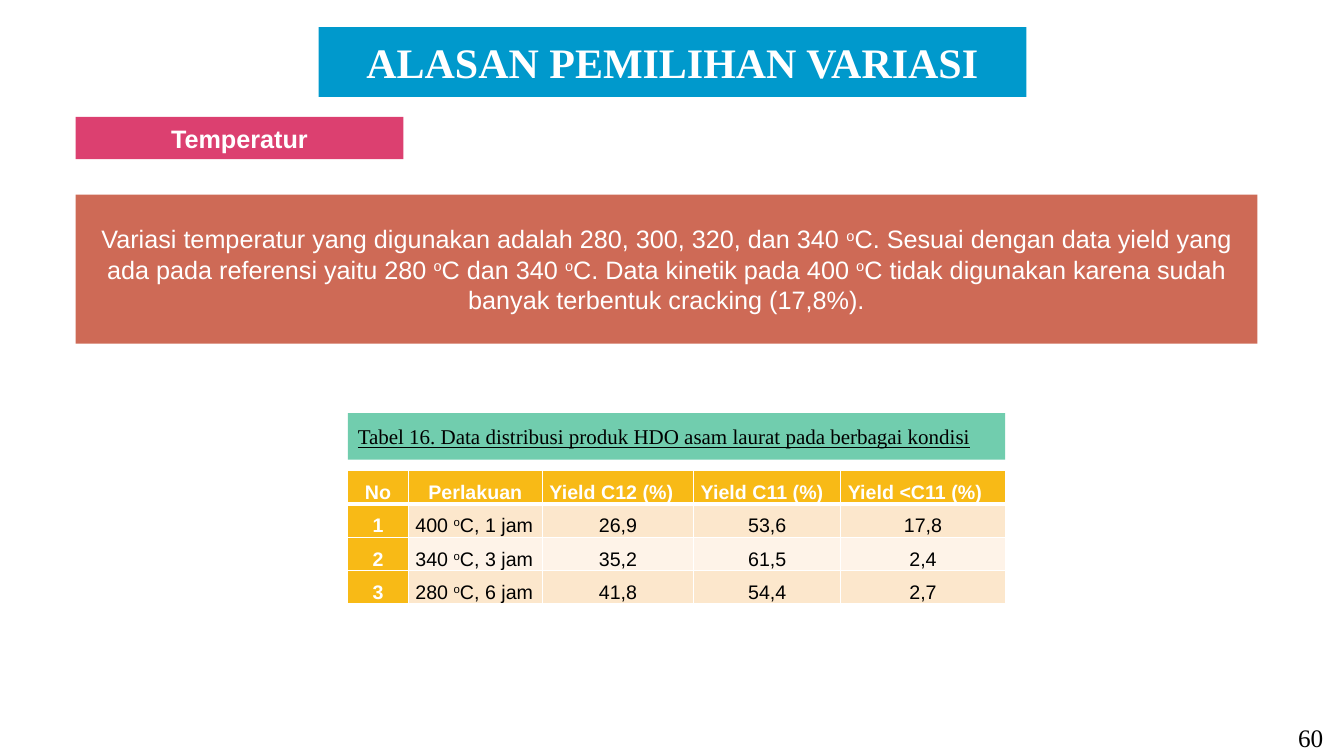
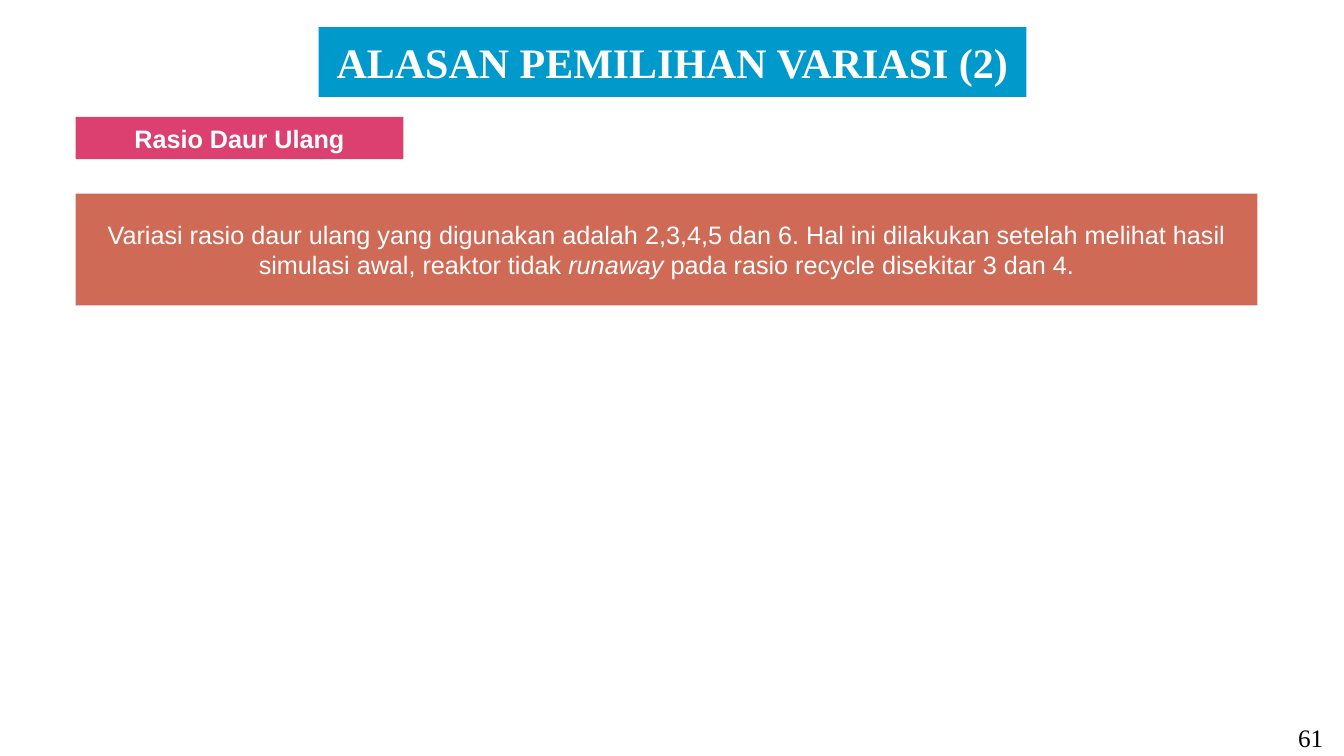
from dataclasses import dataclass

from lxml.etree import SubElement
from pptx import Presentation
from pptx.dml.color import RGBColor
from pptx.enum.shapes import MSO_SHAPE as Shape
from pptx.enum.text import MSO_ANCHOR as Anchor, PP_ALIGN as Align
from pptx.oxml.ns import qn
from pptx.util import Emu, Pt

SCALE = 9144
DEGREE = ("o", "raised")


@dataclass(frozen=True)
class Theme:
    """Colours, fonts and type sizes of the deck."""

    white: str = "FFFFFF"
    black: str = "000000"
    blue: str = "0099CC"
    pink: str = "DC4070"
    brick: str = "CE6A56"
    mint: str = "71CDAE"
    amber: str = "F8BA16"
    bands: tuple = ("FCE7CC", "FEF3E8")
    serif: str = "Times New Roman"
    sans: str = "Arial"
    title_size: int = 30
    body_size: int = 18
    caption_size: int = 15
    table_size: int = 14
    thin: int = 1
    thick: int = 3


def px(length):
    """Turn whole px into EMU."""
    return Emu(length * SCALE)


class Deck:
    """Holds the style and the current slide."""

    def __init__(self, theme):
        self.theme = theme
        self.deck = Presentation()
        self.deck.slide_width, self.deck.slide_height = px(1333), px(750)
        self.page = None

    def add_spans(self, para, spans, size, face, color, bold=False, underline=None):
        """Add spans, each plain text or a (text, style) pair."""
        for item in spans:
            text, style = (item, "") if isinstance(item, str) else item
            span = para.add_run()
            span.text = text
            font = span.font
            font.size, font.name = Pt(size), face
            font.bold, font.underline = bold, underline
            font.italic = style == "italic"
            font.color.rgb = RGBColor.from_string(color)
            if style == "raised":
                span._r.get_or_add_rPr().set("baseline", "30000")

    def band(self, place, fill, spans, size, face, color=None, align=Align.CENTER, **look):
        """Draw a filled rectangle with text."""
        box = self.page.shapes.add_shape(Shape.RECTANGLE, *map(px, place))
        box.shadow.inherit = False
        box.fill.solid()
        box.fill.fore_color.rgb = RGBColor.from_string(fill)
        box.line.fill.background()
        frame = box.text_frame
        frame.word_wrap = True
        frame.vertical_anchor = Anchor.MIDDLE
        para = frame.paragraphs[0]
        para.alignment = align
        self.add_spans(para, spans, size, face, color or self.theme.white, **look)

    def start_page(self, title, number, topic):
        """Add a slide with its title, number and topic label."""
        theme = self.theme
        self.page = self.deck.slides.add_slide(self.deck.slide_layouts[6])
        self.band((316, 27, 702, 69), theme.blue, [title],
                  theme.title_size, theme.serif, bold=True)
        self.band((1267, 714, 66, 36), theme.white, [str(number)],
                  theme.body_size, theme.serif, theme.black)
        self.band((75, 116, 325, 42), theme.pink, [topic],
                  theme.body_size, theme.sans, bold=True)

    def statement(self, top, height, spans):
        """Draw the wide explanation band."""
        self.band((75, top, 1172, height), self.theme.brick, spans,
                  self.theme.body_size, self.theme.sans)

    def caption(self, place, text):
        """Draw the underlined caption of a table."""
        self.band(place, self.theme.mint, [text], self.theme.caption_size, self.theme.serif,
                  self.theme.black, Align.LEFT, underline=True)

    def borders(self, cell, top, bottom):
        """Give a cell white borders."""
        props = cell._tc.get_or_add_tcPr()
        widths = {"L": self.theme.thin, "R": self.theme.thin, "T": top, "B": bottom}
        for side, width in widths.items():
            line = SubElement(props, qn(f"a:ln{side}"), w=str(Pt(width)))
            fill = SubElement(line, qn("a:solidFill"))
            SubElement(fill, qn("a:srgbClr"), val=self.theme.white)

    def cell(self, cell, spans, fill, align, strong, top, bottom):
        """Style and fill one table cell."""
        theme = self.theme
        self.borders(cell, top, bottom)
        cell.fill.solid()
        cell.fill.fore_color.rgb = RGBColor.from_string(fill)
        cell.margin_left = cell.margin_right = px(7)
        cell.margin_top = cell.margin_bottom = 0
        para = cell.text_frame.paragraphs[0]
        para.alignment = align
        para.line_spacing = 1.5
        para.space_after = Pt(8)
        self.add_spans(para, spans, theme.table_size, theme.sans,
                       theme.white if strong else theme.black, bold=strong)

    def table(self, left, top, widths, row_height, rows):
        """Draw a table with a strong first row and column."""
        theme = self.theme
        place = left, top, sum(widths), row_height * len(rows)
        grid = self.page.shapes.add_table(len(rows), len(widths), *map(px, place)).table
        grid.horz_banding = False
        grid.first_col = True
        for column, width in zip(grid.columns, widths):
            column.width = px(width)
        for r, row in enumerate(rows):
            grid.rows[r].height = px(row_height)
            for c, spans in enumerate(row):
                strong = r == 0 or c == 0
                to_left = c > 1 if r == 0 else c == 1
                self.cell(grid.cell(r, c), spans,
                          theme.amber if strong else theme.bands[(r - 1) % 2],
                          Align.LEFT if to_left else Align.CENTER, strong,
                          theme.thick if r == 1 else theme.thin,
                          theme.thick if r == 0 else theme.thin)


def main():
    """Build the two slides."""
    deck = Deck(Theme())

    deck.start_page("ALASAN PEMILIHAN VARIASI", 60, "Temperatur")
    deck.statement(193, 148, [
        "Variasi temperatur yang digunakan adalah 280, 300, 320, dan 340 ", DEGREE,
        "C. Sesuai dengan data yield yang ada pada referensi yaitu 280 ", DEGREE,
        "C dan 340 ", DEGREE, "C. Data kinetik pada 400 ", DEGREE,
        "C tidak digunakan karena sudah banyak terbentuk cracking (17,8%)."])
    header = ["No", "Perlakuan", "Yield C12 (%)", "Yield C11 (%)", "Yield <C11 (%)"]
    trials = [(400, 1, "26,9", "53,6", "17,8"),
              (340, 3, "35,2", "61,5", "2,4"),
              (280, 6, "41,8", "54,4", "2,7")]
    rows = [[[name] for name in header]]
    for number, (heat, hours, *yields) in enumerate(trials, 1):
        rows.append([[str(number)], [f"{heat} ", DEGREE, f"C, {hours} jam"],
                     *([value] for value in yields)])
    deck.table(345, 467, (60, 133, 150, 146, 163), 33, rows)
    deck.caption((345, 410, 652, 46),
                 "Tabel 16. Data distribusi produk HDO asam laurat pada berbagai kondisi")

    deck.start_page("ALASAN PEMILIHAN VARIASI (2)", 61, "Rasio Daur Ulang")
    deck.statement(192, 111, [
        "Variasi rasio daur ulang yang digunakan adalah 2,3,4,5 dan 6. Hal ini dilakukan "
        "setelah melihat hasil simulasi awal, reaktor tidak ",
        ("runaway", "italic"), " pada rasio recycle disekitar 3 dan 4."])

    deck.deck.save("out.pptx")


if __name__ == "__main__":
    main()
